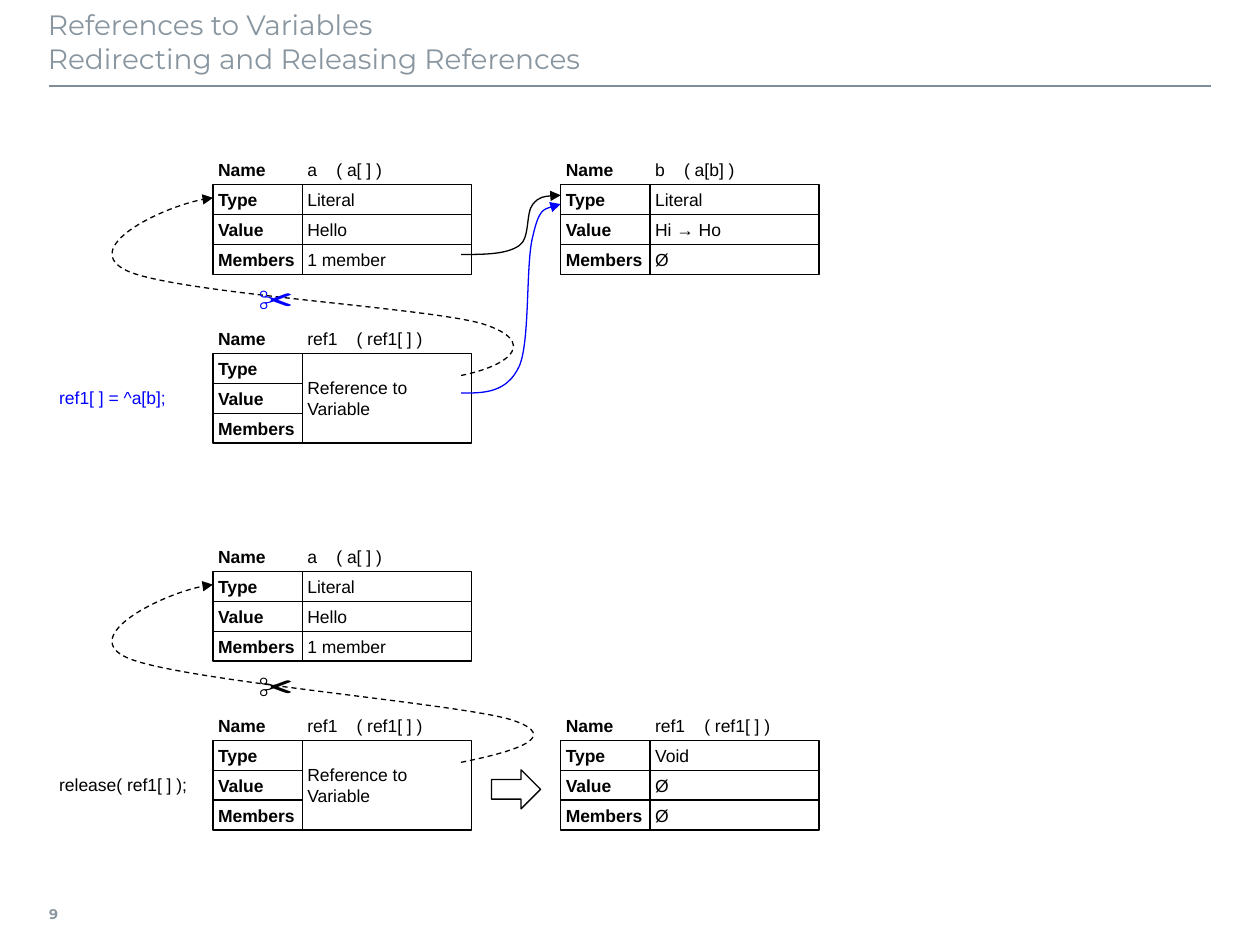
from dataclasses import dataclass
from typing import Any

import pptx
import pptx.util
import pptx.dml.color
import pptx.enum.dml
import pptx.enum.shapes
import pptx.enum.text
import pptx.oxml
import pptx.oxml.ns
from pptx.util import Inches

COLORS = {"ink": "000000", "blue": "0000FF", "title": "8996A0", "rule": "808D97"}
LABEL_WIDTH, VALUE_WIDTH, BODY_HEIGHT = 0.71, 1.34, 0.71
ROW = BODY_HEIGHT / 3
LEFT, RIGHT = 1.69, 4.45
LOWER = 3.07  # vertical distance between the two examples
LABELS = ("Type", "Value", "Members")
REFERENCE = ("Reference to\nVariable",)
MIDDLE = pptx.enum.text.MSO_ANCHOR.MIDDLE
Point = tuple[float, float]


@dataclass
class Card:
    """A variable with its name and its member values."""
    left: float
    top: float
    name: str
    tab: float
    values: tuple[str, ...]


@dataclass
class Caption:
    """Free text on the slide."""
    text: str
    left: float
    top: float
    width: float
    color: str = "ink"
    size: float = 10


@dataclass
class Curve:
    """A start point followed by three points for each Bezier segment."""
    points: tuple[Point, ...]
    color: str = "ink"
    dashed: bool = False


CARDS = (
    Card(LEFT, 1.23, "a\t( a[ ] )", 0.23, ("Literal", "Hello", "1 member")),
    Card(LEFT, 2.57, "ref1\t( ref1[ ] )", 0.39, REFERENCE),
    Card(RIGHT, 1.23, "b\t( a[b] )", 0.23, ("Literal", "Hi → Ho", "Ø")),
    Card(LEFT, 1.23 + LOWER, "a\t( a[ ] )", 0.23, ("Literal", "Hello", "1 member")),
    Card(LEFT, 2.57 + LOWER, "ref1\t( ref1[ ] )", 0.39, REFERENCE),
    Card(RIGHT, 2.57 + LOWER, "ref1\t( ref1[ ] )", 0.39, ("Void", "Ø", "Ø")),
)
CURVES = (
    Curve(((3.66, 2.98), (4.06, 2.9), (4.27, 2.71), (3.83, 2.57), (3.39, 2.44),
           (1.41, 2.33), (1.01, 2.15), (0.62, 1.97), (1.36, 1.6), (1.69, 1.57)),
          dashed=True),
    Curve(((3.66, 2.02), (3.84, 2.02), (4.02, 2.02), (4.12, 1.95), (4.21, 1.89),
           (4.17, 1.69), (4.23, 1.62), (4.28, 1.56), (4.37, 1.55), (4.45, 1.55))),
    Curve(((3.66, 3.12), (3.84, 3.12), (4.02, 3.12), (4.12, 2.91), (4.21, 2.71),
           (4.17, 2.09), (4.23, 1.87), (4.28, 1.65), (4.37, 1.64), (4.45, 1.62)), "blue"),
    Curve(((3.66, 6.05), (4.06, 5.97), (4.49, 5.85), (4.05, 5.71), (3.61, 5.58),
           (1.41, 5.4), (1.01, 5.22), (0.62, 5.05), (1.36, 4.67), (1.69, 4.64)),
          dashed=True),
)
CAPTIONS = (
    Caption("ref1[ ] = ^a[b];", 0.43, 3.04, 0.94, "blue"),
    Caption("release( ref1[ ] );", 0.43, 3.04 + LOWER, 0.94),
    Caption("✂", 2.01, 2.25, 0.39, "blue", 20),
    Caption("✂", 2.01, 2.25 + LOWER, 0.39, "ink", 20),
)


def rgb(name: str) -> pptx.dml.color.RGBColor:
    """Look up a named colour."""
    return pptx.dml.color.RGBColor.from_string(COLORS[name])


def apply(target: Any, values: dict[str, Any]) -> None:
    """Set attributes from a dict."""
    for key, value in values.items():
        setattr(target, key, value)


def write(shape: Any, text: str, size: float = 10, color: str = "ink", bold: bool = False,
          font: str = "Arial", insets: tuple[float, ...] = (0.04,) * 4,
          anchor: Any = MIDDLE, wrap: bool = False) -> None:
    """Fill a shape with left-aligned, formatted text."""
    frame = shape.text_frame
    frame.text = text
    sides = ("margin_left", "margin_top", "margin_right", "margin_bottom")
    apply(frame, {"word_wrap": wrap, "vertical_anchor": anchor,
                  "auto_size": pptx.enum.text.MSO_AUTO_SIZE.NONE,
                  **{side: Inches(inset) for side, inset in zip(sides, insets)}})
    for para in frame.paragraphs:
        para.alignment = pptx.enum.text.PP_ALIGN.LEFT
        for span in para.runs:
            apply(span.font, {"name": font, "size": pptx.util.Pt(size), "bold": bold})
            span.font.color.rgb = rgb(color)


def outline(shape: Any, color: str = "ink") -> None:
    """Leave a shape unfilled, with a thin line and no shadow."""
    shape.shadow.inherit = False
    shape.fill.background()
    shape.line.color.rgb = rgb(color)
    shape.line.width = pptx.util.Pt(0.75)


def add_box(page: Any, left: float, top: float, width: float, height: float,
            kind: str = "RECTANGLE") -> Any:
    """Add an outlined preset shape."""
    box = page.shapes.add_shape(getattr(pptx.enum.shapes.MSO_SHAPE, kind), Inches(left),
                                Inches(top), Inches(width), Inches(height))
    outline(box)
    return box


def add_text(page: Any, left: float, top: float, width: float, height: float,
             text: str, **style: Any) -> Any:
    """Add a text box."""
    box = page.shapes.add_textbox(Inches(left), Inches(top), Inches(width), Inches(height))
    write(box, text, **style)
    return box


def add_card(page: Any, card: Card) -> None:
    """Draw the name line, the labels and the values of a variable."""
    value_left = card.left + LABEL_WIDTH
    add_text(page, card.left, card.top, LABEL_WIDTH, ROW, "Name", bold=True)
    name = add_text(page, value_left, card.top, VALUE_WIDTH, ROW, card.name, wrap=True)
    properties = name.text_frame.paragraphs[0]._p.get_or_add_pPr()
    properties.append(pptx.oxml.parse_xml(
        f'<a:tabLst {pptx.oxml.ns.nsdecls("a")}>'
        f'<a:tab pos="{Inches(card.tab)}" algn="l"/></a:tabLst>'))
    columns = ((card.left, LABEL_WIDTH, LABELS, True),
               (value_left, VALUE_WIDTH, card.values, False))
    for left, width, texts, bold in columns:
        height = BODY_HEIGHT / len(texts)
        for row, text in enumerate(texts):
            box = add_box(page, left, card.top + ROW + row * height, width, height)
            write(box, text, bold=bold)


def bezier(points: tuple[Point, ...], t: float) -> Point:
    """Give the place at t on a cubic Bezier segment."""
    weights = ((1 - t) ** 3, 3 * t * (1 - t) ** 2, 3 * t * t * (1 - t), t ** 3)
    x, y = (sum(w * p[axis] for w, p in zip(weights, points)) for axis in (0, 1))
    return x, y


def add_curve(page: Any, curve: Curve) -> None:
    """Draw a smooth arrow: size it by sampling, then give it true Bezier segments."""
    starts = range(0, len(curve.points) - 1, 3)
    samples = [bezier(curve.points[i:i + 4], step / 20)
               for i in starts for step in range(1, 21)]
    builder = page.shapes.build_freeform(*curve.points[0], scale=Inches(1))
    builder = page.shapes.build_freeform(*map(Inches, curve.points[0]))
    builder.add_line_segments([(Inches(x), Inches(y)) for x, y in samples], close=False)
    shape = builder.convert_to_shape()
    outline(shape, curve.color)
    if curve.dashed:
        shape.line.dash_style = pptx.enum.dml.MSO_LINE.DASH
    names = pptx.oxml.ns
    route = next(shape._element.iter(names.qn("a:path")))
    for segment in route.findall(names.qn("a:lnTo")):
        route.remove(segment)
    for i in starts:
        marks = "".join(f'<a:pt x="{Inches(x) - shape.left}" y="{Inches(y) - shape.top}"/>'
                        for x, y in curve.points[i + 1:i + 4])
        route.append(pptx.oxml.parse_xml(
            f'<a:cubicBezTo {names.nsdecls("a")}>{marks}</a:cubicBezTo>'))
    shape.line._get_or_add_ln().append(pptx.oxml.parse_xml(
        f'<a:tailEnd {names.nsdecls("a")} type="triangle"/>'))


def add_frame(page: Any) -> None:
    """Set the title, the rule below it and the page number."""
    title = page.shapes.title
    apply(title, {"left": Inches(0.38), "top": Inches(0.01),
                  "width": Inches(9.21), "height": Inches(0.63)})
    write(title, "References to Variables\vRedirecting and Releasing References", size=16,
          color="title", font="Montserrat", insets=(0, 0.05, 0.1, 0.05),
          anchor=pptx.enum.text.MSO_ANCHOR.TOP, wrap=True)
    rule = page.shapes.add_connector(pptx.enum.shapes.MSO_CONNECTOR.STRAIGHT, Inches(0.39),
                                     Inches(0.68), Inches(9.61), Inches(0.68))
    rule.line.color.rgb = rgb("rule")
    rule.line.width = pptx.util.Pt(1)
    rule._element.spPr.append(pptx.oxml.parse_xml(
        f'<a:effectLst {pptx.oxml.ns.nsdecls("a")}/>'))
    add_text(page, 0.39, 7.06, 0.35, 0.39, "9", size=8, color="title", bold=True,
             font="Montserrat", insets=(0, 0.05, 0.08, 0.05))


def main() -> None:
    """Build and save the slide."""
    deck = pptx.Presentation()
    deck.slide_width, deck.slide_height = Inches(10), Inches(7.5)
    page = deck.slides.add_slide(deck.slide_layouts[5])
    add_frame(page)
    for card in CARDS:
        add_card(page, card)
    for curve in CURVES:
        add_curve(page, curve)
    for caption in CAPTIONS:
        add_text(page, caption.left, caption.top, caption.width, ROW, caption.text,
                 size=caption.size, color=caption.color)
    add_box(page, 3.9, 6.11, 0.39, 0.31, "RIGHT_ARROW")
    deck.save("out.pptx")


main()
